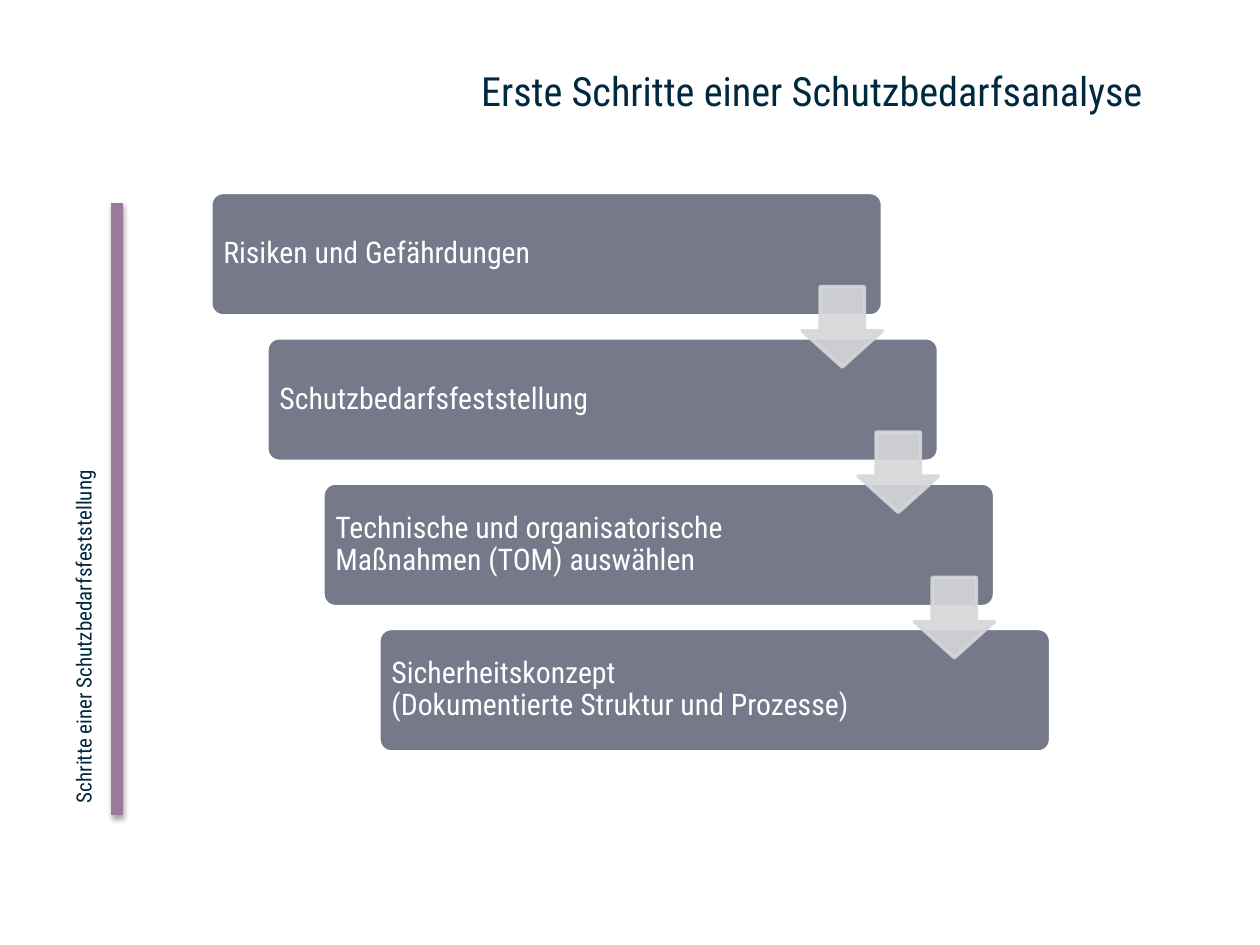
from lxml import etree
from pptx import Presentation
from pptx.dml.color import RGBColor
from pptx.enum.shapes import MSO_CONNECTOR, MSO_SHAPE
from pptx.enum.text import MSO_ANCHOR
from pptx.oxml.ns import qn
from pptx.util import Cm, Pt

BOX, ARROW = MSO_SHAPE.ROUNDED_RECTANGLE, MSO_SHAPE.DOWN_ARROW
LINE = MSO_CONNECTOR.STRAIGHT
TOP, MIDDLE = MSO_ANCHOR.TOP, MSO_ANCHOR.MIDDLE

FONT = "Roboto Condensed"
NAVY, SLATE, SILVER, PLUM, WHITE = "00283F", "76798A", "D6D7DA", "9A7B9C", "FFFFFF"

TITLE = "Erste Schritte einer Schutzbedarfsanalyse"
SIDE = "Schritte einer Schutzbedarfsfeststellung"
STEPS = [
    "Risiken und Gefährdungen",
    "Schutzbedarfsfeststellung",
    "Technische und organisatorische Maßnahmen (TOM) auswählen",
    "Sicherheitskonzept\n(Dokumentierte Struktur und Prozesse)",
]

# Staircase, in cm
LEFT, UP = 4.25, 3.88
RIGHT, DOWN = 1.13, 2.93
WIDTH, HEIGHT = 13.54, 2.49
ARROW_X, ARROW_Y, ARROW_SIZE = 11.92, 1.9, 1.62


def rgb(code):
    return RGBColor.from_string(code)


def write(shape, text, size=17, color=WHITE, anchor=TOP, pad=None, lead=None):
    """Fill a shape with one paragraph; pad is left, top, right, bottom in cm."""
    frame = shape.text_frame
    frame.word_wrap = True
    frame.vertical_anchor = anchor
    if pad:
        (frame.margin_left, frame.margin_top,
         frame.margin_right, frame.margin_bottom) = map(Cm, pad)
    par = frame.paragraphs[0]
    par.text = text
    par.alignment = 1
    if lead:
        par.line_spacing = lead
    for run in par.runs:
        run.font.name, run.font.size = FONT, Pt(size)
        run.font.color.rgb = rgb(color)
    return frame


def draw(slide, kind, x, y, w, h, fill, line):
    shape = slide.shapes.add_shape(kind, Cm(x), Cm(y), Cm(w), Cm(h))
    shape.shadow.inherit = False
    shape.fill.solid()
    shape.fill.fore_color.rgb = rgb(fill)
    shape.line.color.rgb = rgb(line)
    shape.line.width = Pt(2)
    return shape


def fade(node, share):
    """Set the opacity, in percent, of every colour below a node."""
    for color in node.iter(qn("a:srgbClr")):
        etree.SubElement(color, qn("a:alpha"), val=str(share * 1000))


def add_bar(slide):
    bar = slide.shapes.add_connector(LINE, Cm(2.36), Cm(4.09), Cm(2.36), Cm(16.43))
    bar.line.color.rgb = rgb(PLUM)
    bar.line.width = Pt(6.5)
    effects = etree.SubElement(bar.element.spPr, qn("a:effectLst"))
    shade = etree.SubElement(
        effects, qn("a:outerShdw"), blurRad=str(Pt(3.1)), dist=str(Pt(1.8)),
        dir="5400000", rotWithShape="0")
    etree.SubElement(shade, qn("a:srgbClr"), val="000000")
    fade(shade, 35)


def add_step(slide, index, text):
    box = draw(slide, BOX, LEFT + index * RIGHT, UP + index * DOWN,
               WIDTH, HEIGHT, SLATE, WHITE)
    box.adjustments[0] = 0.1
    write(box, text, anchor=MIDDLE, pad=(0.18, 0.18, 2.9, 0.18), lead=0.9)


def add_arrow(slide, index):
    arrow = draw(slide, ARROW, LEFT + index * RIGHT + ARROW_X,
                 UP + index * DOWN + ARROW_Y, ARROW_SIZE, ARROW_SIZE, SILVER, SILVER)
    arrow.adjustments[0], arrow.adjustments[1] = 0.55, 0.45
    fade(arrow.element.spPr, 90)


def main():
    deck = Presentation()
    deck.slide_width, deck.slide_height = Cm(25.4), Cm(19.05)
    slide = deck.slides.add_slide(deck.slide_layouts[6])

    add_bar(slide)
    side = slide.shapes.add_textbox(Cm(1.3), Cm(4.32), Cm(0.74), Cm(12.12))
    frame = write(side, SIDE, size=12, color=NAVY)
    frame._txBody.bodyPr.set("vert", "vert270")
    title = slide.shapes.add_textbox(Cm(9.45), Cm(1.22), Cm(15.95), Cm(2.03))
    write(title, TITLE, size=23, color=NAVY)

    for index, text in enumerate(STEPS):
        add_step(slide, index, text)
    for index in range(len(STEPS) - 1):
        add_arrow(slide, index)
    deck.save("out.pptx")


if __name__ == "__main__":
    main()
